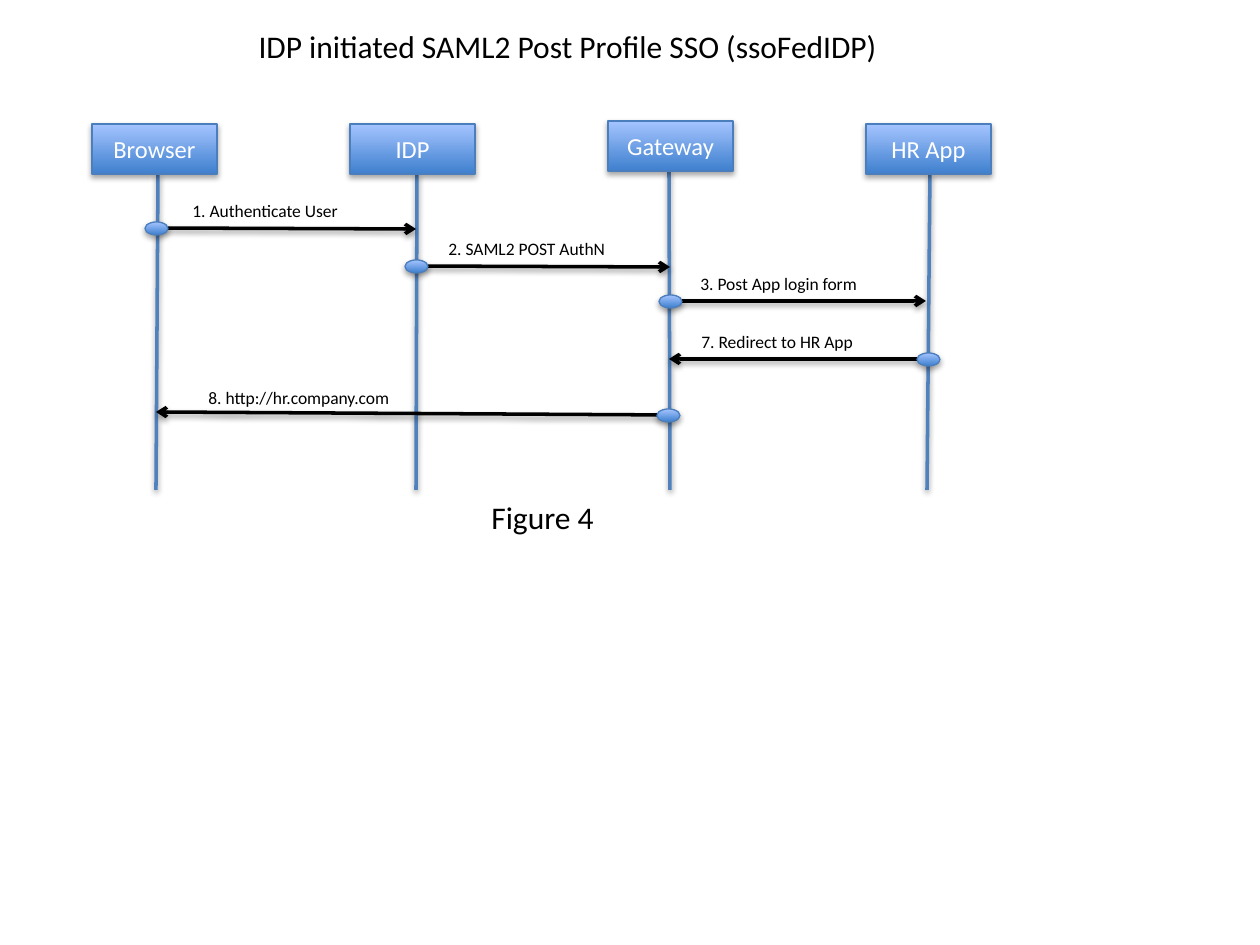
from dataclasses import dataclass
from lxml.etree import SubElement
from pptx import Presentation
from pptx.dml.color import RGBColor as Rgb
from pptx.enum.shapes import MSO_CONNECTOR as Link, MSO_SHAPE as Kind
from pptx.enum.text import MSO_ANCHOR as Anchor, PP_ALIGN as Align
from pptx.oxml import parse_xml
from pptx.oxml.ns import nsdecls, qn
from pptx.util import Inches, Pt

SCALE = Inches(1) / 126
SHADE = (
    '<a:effectLst {ns}><a:outerShdw blurRad="40000" dist="{dist}" dir="5400000" '
    'rotWithShape="0"><a:srgbClr val="{color}"><a:alpha val="{alpha}"/>'
    '</a:srgbClr></a:outerShdw></a:effectLst>'
)


@dataclass(frozen=True)
class Theme:
    font: str = "Calibri"
    ink: str = "000000"
    white: str = "FFFFFF"
    dark: str = "3F80CE"
    light: str = "A4C4FF"
    edge: str = "4B7EBC"
    life: str = "4F81BD"
    head: int = 18
    actor: int = 14
    note: int = 10


def px(*nums):
    return [round(n * SCALE) for n in nums]


class Chart:
    """Draws the parts of a sequence diagram on one slide."""

    def __init__(self, slide, theme):
        self.slide, self.theme = slide, theme

    def text(self, shape, words, size, color, wrap=True, align=Align.LEFT, anchor=Anchor.TOP):
        frame = shape.text_frame
        frame.word_wrap, frame.vertical_anchor = wrap, anchor
        para = frame.paragraphs[0]
        para.alignment = align
        run = para.add_run()
        run.text = words
        run.font.name, run.font.size = self.theme.font, Pt(size)
        run.font.color.rgb = Rgb.from_string(color)

    def shade(self, shape, dist, alpha):
        shape._element.spPr.append(parse_xml(SHADE.format(
            ns=nsdecls("a"), dist=dist, color=self.theme.ink, alpha=alpha)))

    def title(self, words, x, y, w, h):
        shape = self.slide.shapes.title
        shape.left, shape.top, shape.width, shape.height = px(x, y, w, h)
        self.text(shape, words, self.theme.head, self.theme.ink, wrap=False)

    def label(self, words, x, y, w, h=34, size=None, wrap=True):
        box = self.slide.shapes.add_textbox(*px(x, y, w, h))
        self.text(box, words, size or self.theme.note, self.theme.ink, wrap)

    def block(self, kind, x, y, w, h):
        shape = self.slide.shapes.add_shape(kind, *px(x, y, w, h))
        shape.fill.gradient()
        shape.fill.gradient_angle = 90
        for stop, color in zip(shape.fill.gradient_stops, (self.theme.dark, self.theme.light)):
            stop.color.rgb = Rgb.from_string(color)
        shape.line.color.rgb = Rgb.from_string(self.theme.edge)
        shape.line.width = Pt(0.75)
        self.shade(shape, 23000, 35000)
        return shape

    def line(self, start, end, color, arrow=False):
        link = self.slide.shapes.add_connector(Link.STRAIGHT, *px(*start, *end))
        link.line.color.rgb = Rgb.from_string(color)
        link.line.width = Pt(2)
        if arrow:
            SubElement(link._element.spPr.find(qn("a:ln")), qn("a:tailEnd"), type="arrow")
        self.shade(link, 20000, 38000)

    def actor(self, name, x, y, top, foot):
        self.line((top, y + 50), (foot, 490), self.theme.life)
        box = self.block(Kind.RECTANGLE, x, y, 125, 50)
        self.text(box, name, self.theme.actor, self.theme.white,
                  align=Align.CENTER, anchor=Anchor.MIDDLE)

    def message(self, words, start, end, dot, left, width):
        self.line(start, end, self.theme.ink, arrow=True)
        self.block(Kind.OVAL, dot, start[1] - 6, 23, 13)
        self.label(words, left, start[1] - 34, width)


ACTORS = [
    ("Browser", 124, 158, 156),
    ("IDP", 124, 417, 416),
    ("Gateway", 121, 669, 670),
    ("HR App", 124, 930, 927),
]
CALLS = [
    ("1. Authenticate User", (158, 228), (416, 229), 145, 180, 213),
    ("2. SAML2 POST AuthN", (410, 266), (670, 267), 405, 436, 206),
    ("3. Post App login form", (670, 301), (926, 301), 659, 688, 208),
    ("7. Redirect to HR App", (917, 359), (669, 359), 917, 689, 208),
    ("8. http://hr.company.com", (668, 415), (156, 412), 657, 196, 310),
]


def main():
    deck = Presentation()
    deck.slide_width, deck.slide_height = Inches(10), Inches(7.5)
    theme = Theme()
    chart = Chart(deck.slides.add_slide(deck.slide_layouts[5]), theme)
    chart.title("IDP initiated SAML2 Post Profile SSO (ssoFedIDP)", 246, 21, 650, 50)
    for i, (name, y, top, foot) in enumerate(ACTORS):
        chart.actor(name, 92 + 258 * i, y, top, foot)
    for call in CALLS:
        chart.message(*call)
    chart.label("Figure 4", 479, 492, 128, 50, theme.head, wrap=False)
    deck.save("out.pptx")


if __name__ == "__main__":
    main()
